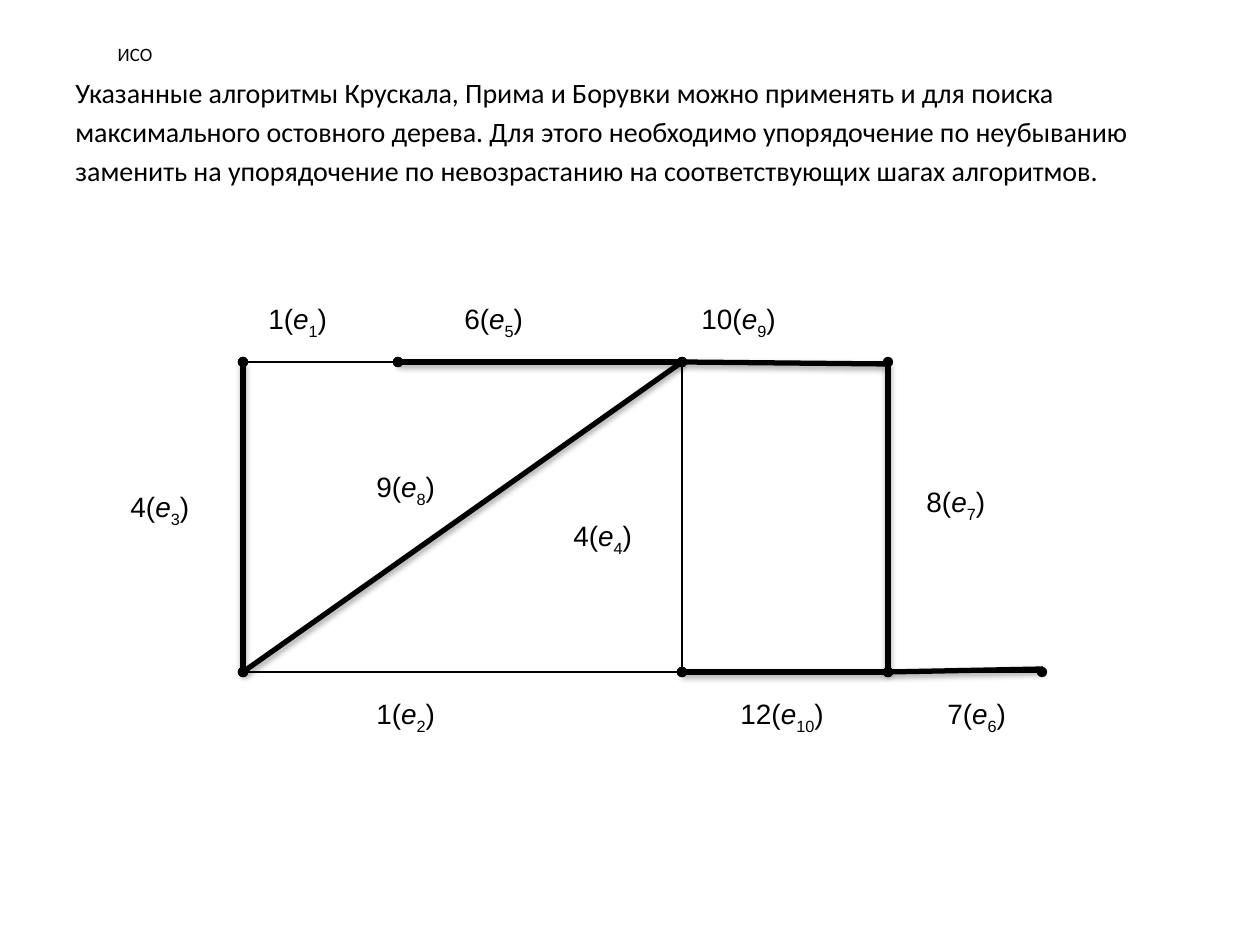
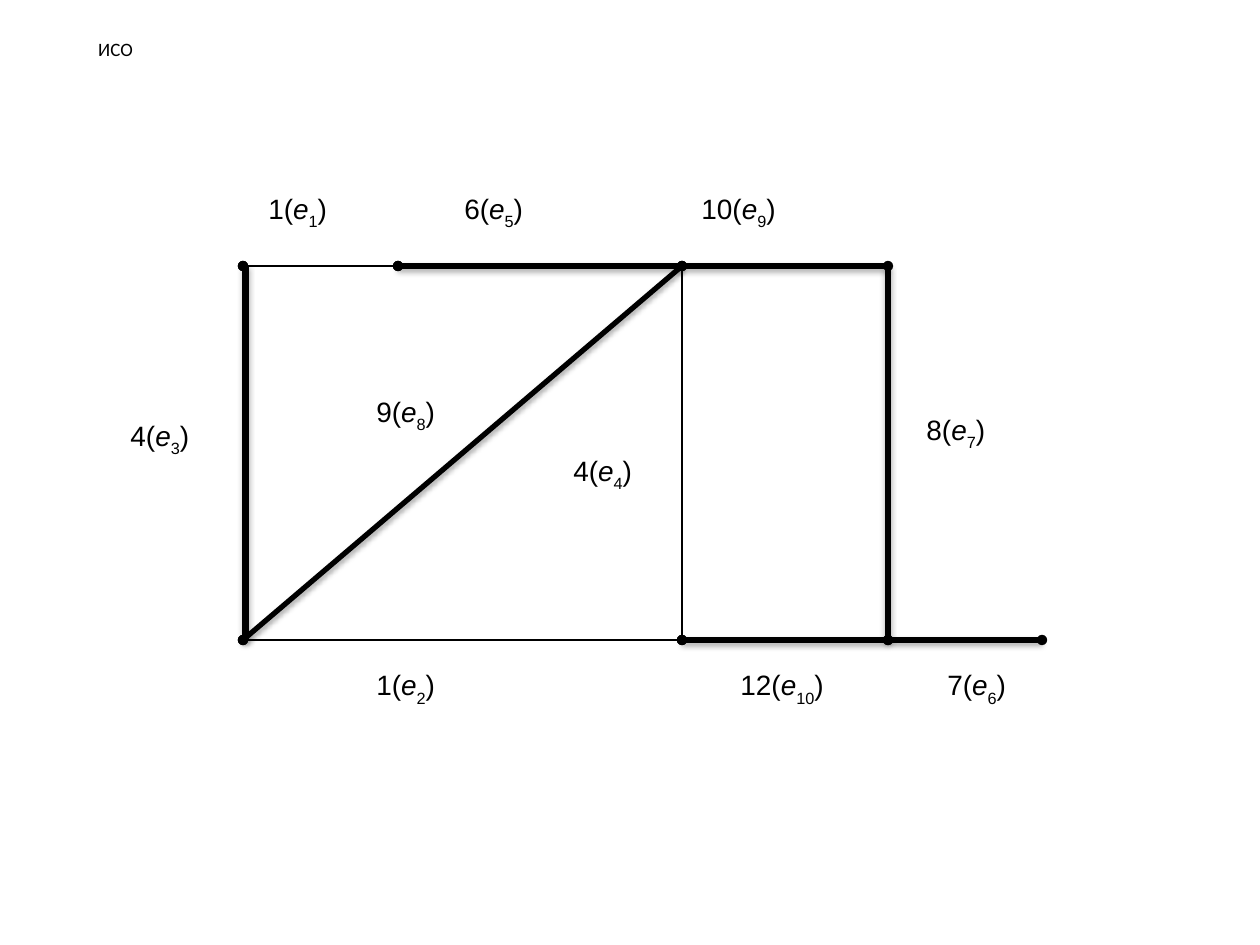
from dataclasses import dataclass, field

from lxml import etree
from pptx import Presentation
from pptx.dml.color import RGBColor
from pptx.enum.shapes import MSO_CONNECTOR, MSO_SHAPE
from pptx.enum.text import MSO_ANCHOR, PP_ALIGN
from pptx.oxml.ns import qn
from pptx.util import Emu, Pt

STRAIGHT, RECT = MSO_CONNECTOR.STRAIGHT, MSO_SHAPE.RECTANGLE
TOP, MIDDLE = MSO_ANCHOR.TOP, MSO_ANCHOR.MIDDLE
LEFT, CENTER = PP_ALIGN.LEFT, PP_ALIGN.CENTER
BLACK, WHITE = RGBColor(0, 0, 0), RGBColor(255, 255, 255)
EMU_PER_PX = 914400 / 126
THIN, BOLD = 0.75, 3
BASE_HEIGHT = 310
INDENT = 48


@dataclass(frozen=True)
class Edge:
    number: int
    weight: int
    start: str
    end: str
    label_x: int
    label_dy: int
    label_w: int
    label_h: int
    dots: bool = True
    in_tree: bool = True


@dataclass(frozen=True)
class GraphSlide:
    title_w: int
    title_h: int
    top: int
    bottom: int
    body: tuple = ()
    tree_shifts: dict = field(default_factory=dict)


VERTICES = {
    "A": (243, 0), "B": (398, 0), "C": (682, 0), "D": (888, 0),
    "E": (243, 1), "F": (682, 1), "G": (888, 1), "H": (1042, 1),
}

EDGES = (
    Edge(1, 1, "A", "B", 256, -67, 128, 49, in_tree=False),
    Edge(5, 6, "B", "C", 452, -67, 128, 49),
    Edge(9, 10, "C", "D", 689, -67, 155, 59),
    Edge(3, 4, "A", "E", 118, 121, 108, 52),
    Edge(2, 1, "E", "F", 364, 328, 123, 58, in_tree=False),
    Edge(8, 9, "E", "C", 364, 101, 88, 52, dots=False),
    Edge(4, 4, "C", "F", 561, 150, 103, 63, dots=False, in_tree=False),
    Edge(10, 12, "F", "G", 728, 328, 120, 58),
    Edge(7, 8, "D", "G", 914, 116, 110, 53, dots=False),
    Edge(6, 7, "G", "H", 935, 328, 128, 58),
)

SLIDES = (
    GraphSlide(
        144, 32, 362, 672,
        body=(
            "Указанные алгоритмы Крускала, Прима и Борувки можно применять и для поиска",
            "максимального остовного дерева. Для этого необходимо упорядочение по неубыванию",
            "заменить на упорядочение по невозрастанию на соответствующих шагах алгоритмов.",
        ),
        tree_shifts={9: (0, 0, -2, 2), 6: (0, 0, 1, -3)},
    ),
    GraphSlide(105, 21, 266, 640, tree_shifts={3: (3, 0, 3, 0)}),
)


def px(n: float) -> Emu:
    """Turn pixels into EMU."""
    return Emu(round(n * EMU_PER_PX))


def add_run(p, text: str, *, size=16, font="Arial", italic=False, sub=False) -> None:
    """Add one formatted run to a paragraph."""
    r = p.add_run()
    r.text = text
    r.font.size, r.font.name, r.font.italic = Pt(size), font, italic
    r.font.color.rgb = BLACK
    if sub:
        r.font._element.set("baseline", "-30000")


def add_text(s, lines: tuple, x: int, y: int, w: int, h: int, *, size=16,
             align=LEFT, anchor=TOP, indent=0, before=0.0) -> None:
    """Add a text box with one paragraph per line."""
    tf = s.shapes.add_textbox(px(x), px(y), px(w), px(h)).text_frame
    tf.word_wrap, tf.vertical_anchor = True, anchor
    for i, line in enumerate(lines):
        p = tf.add_paragraph() if i else tf.paragraphs[0]
        p.alignment = align
        if i:
            p.space_before = Pt(before)
        if indent:
            pPr = p._p.get_or_add_pPr()
            pPr.set("marL", str(px(indent)))
            pPr.set("indent", str(-px(indent)))
        add_run(p, line, size=size, font="Calibri")


def add_line(shapes, ends: tuple, width: float, *, dots=False, shadow=False) -> None:
    """Draw a straight line with optional round ends or a soft shadow."""
    line = shapes.add_connector(STRAIGHT, *map(px, ends))
    line.line.width = Pt(width)
    line.line.color.rgb = BLACK
    spPr = line._element.spPr
    if dots:
        for tag in ("a:headEnd", "a:tailEnd"):
            etree.SubElement(spPr.find(qn("a:ln")), qn(tag), type="oval")
    effects = etree.SubElement(spPr, qn("a:effectLst"))
    if shadow:
        outer = etree.SubElement(effects, qn("a:outerShdw"), blurRad="40000",
                                 dist="23000", dir="5400000", rotWithShape="0")
        color = etree.SubElement(outer, qn("a:srgbClr"), val=str(BLACK))
        etree.SubElement(color, qn("a:alpha"), val="35000")


def add_label(shapes, edge: Edge, top: int, stretch: float) -> None:
    """Write the weight and name of an edge on a white plate."""
    sp = shapes.add_shape(RECT, px(edge.label_x), px(top + edge.label_dy * stretch),
                          px(edge.label_w), px(edge.label_h * stretch))
    sp.shadow.inherit = False
    sp.fill.solid()
    sp.fill.fore_color.rgb = WHITE
    sp.line.color.rgb = WHITE
    sp.line.width = Pt(THIN)
    tf = sp.text_frame
    tf.word_wrap, tf.vertical_anchor = True, TOP
    p = tf.paragraphs[0]
    p.alignment = LEFT
    add_run(p, f"{edge.weight}(")
    add_run(p, "e", italic=True)
    add_run(p, str(edge.number), sub=True)
    add_run(p, ")")


def edge_ends(edge: Edge, page: GraphSlide) -> tuple:
    """Return both ends of an edge in pixels."""
    rows = (page.top, page.bottom)
    (x1, row1), (x2, row2) = VERTICES[edge.start], VERTICES[edge.end]
    return x1, rows[row1], x2, rows[row2]


def add_graph(s, page: GraphSlide) -> None:
    """Draw the weighted graph and its maximum spanning tree."""
    shapes = s.shapes.add_group_shape().shapes
    stretch = (page.bottom - page.top) / BASE_HEIGHT
    for edge in EDGES:
        add_line(shapes, edge_ends(edge, page), THIN, dots=edge.dots)
    for edge in EDGES:
        add_label(shapes, edge, page.top, stretch)
    for edge in EDGES:
        if edge.in_tree:
            shift = page.tree_shifts.get(edge.number, (0, 0, 0, 0))
            ends = tuple(a + b for a, b in zip(edge_ends(edge, page), shift))
            add_line(s.shapes, ends, BOLD, shadow=True)


def main() -> None:
    """Build and save the presentation."""
    prs = Presentation()
    prs.slide_width, prs.slide_height = px(1260), px(945)
    for page in SLIDES:
        s = prs.slides.add_slide(prs.slide_layouts[6])
        add_text(s, ("ИСО",), 63, 38, page.title_w, page.title_h,
                 size=10.8, align=CENTER, anchor=MIDDLE)
        if page.body:
            add_text(s, page.body, 63, 69, 1134, 816, indent=INDENT, before=3.2)
        add_graph(s, page)
    prs.save("out.pptx")


if __name__ == "__main__":
    main()
